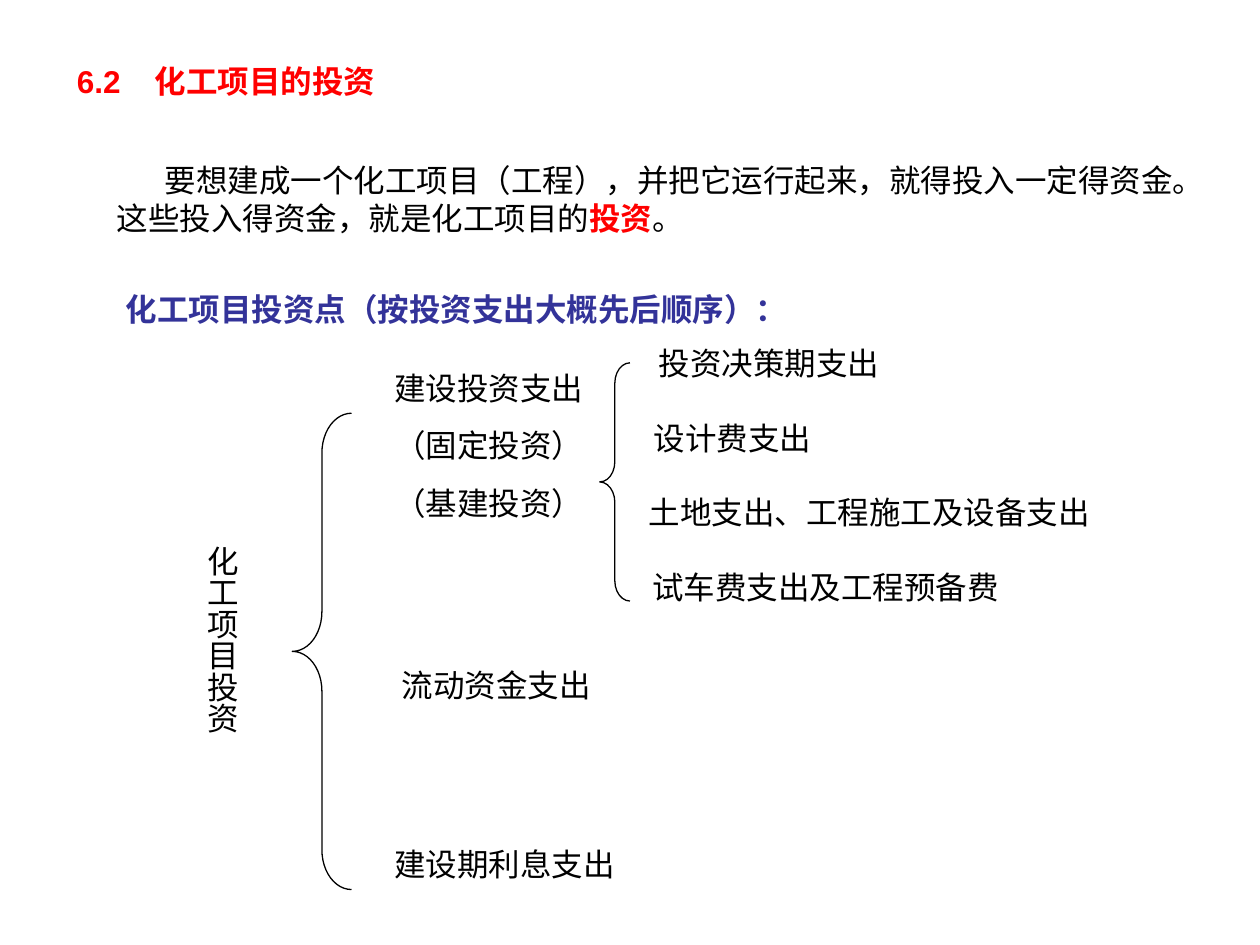
"""Build the slide on investment in chemical engineering projects."""
from dataclasses import dataclass

from lxml import etree
from pptx import Presentation
from pptx import util as u
from pptx.dml.color import RGBColor
from pptx.enum import shapes, text
from pptx.oxml.ns import qn

WIDTH, HEIGHT = u.Inches(10), u.Inches(7.5)
COLUMNS, ROWS = 100, 75


@dataclass(frozen=True)
class Theme:
    """Colours, type and line sizes of the slide."""

    font: str = "Arial"
    size: float = 18
    ink: str = "000000"
    accent: str = "FF0000"
    heading: str = "333399"
    line: float = 0.75
    space_before: float = 11.2


THEME = Theme()


def set_attributes(target, values):
    """Set every attribute named in a dict of format values."""
    for name, value in values.items():
        setattr(target, name, value)


def grid_box(column, row, columns, rows):
    """Turn grid columns and rows into left, top, width and height."""
    cell_width, cell_height = WIDTH / COLUMNS, HEIGHT / ROWS
    return (round(column * cell_width), round(row * cell_height),
            round(columns * cell_width), round(rows * cell_height))


def format_frame(frame, margins=(0.1, 0.05)):
    """Give a text frame its margins, anchor and wrapping."""
    side, end = (u.Inches(margin) for margin in margins)
    set_attributes(frame, {
        "margin_left": side, "margin_right": side,
        "margin_top": end, "margin_bottom": end,
        "word_wrap": True, "auto_size": text.MSO_AUTO_SIZE.NONE,
        "vertical_anchor": text.MSO_ANCHOR.TOP,
    })


def add_run(paragraph, words, color=THEME.ink, bold=False):
    """Append a formatted run to a paragraph."""
    run = paragraph.add_run()
    run.text = words
    set_attributes(run.font, {"name": THEME.font, "size": u.Pt(THEME.size), "bold": bold})
    run.font.color.rgb = RGBColor.from_string(color)


def add_label(slide, box, *lines, margins=(0.1, 0.05), **style):
    """Add a text box with one paragraph for each line."""
    frame = slide.shapes.add_textbox(*grid_box(*box)).text_frame
    format_frame(frame, margins)
    for index, line in enumerate(lines):
        paragraph = frame.add_paragraph() if index else frame.paragraphs[0]
        if index:
            paragraph.space_before = u.Pt(THEME.space_before)
        add_run(paragraph, line, **style)
    return frame


def add_title(slide, box, number, words, tab):
    """Place the title with its number set off by a tab stop."""
    title = slide.shapes.title
    set_attributes(title, dict(zip(("left", "top", "width", "height"), grid_box(*box))))
    format_frame(title.text_frame)
    paragraph = title.text_frame.paragraphs[0]
    paragraph.alignment = text.PP_ALIGN.LEFT
    properties = paragraph._p.get_or_add_pPr()
    tabs = etree.SubElement(properties, qn("a:tabLst"))
    etree.SubElement(tabs, qn("a:tab"), pos=str(u.Inches(tab)), algn="l")
    add_run(paragraph, f"{number}\t{words}", THEME.accent, True)


def add_introduction(slide, box, runs, indent):
    """Add the opening paragraph with a first-line indent."""
    paragraph = add_label(slide, box).paragraphs[0]
    paragraph._p.get_or_add_pPr().set("indent", str(u.Inches(indent)))
    for words, *style in runs:
        add_run(paragraph, words, *style)


def add_vertical_label(slide, box, words):
    """Add a label whose characters run from top to bottom."""
    frame = add_label(slide, box, words, margins=(0.05, 0.1))
    frame._txBody.bodyPr.set("vert", "eaVert")


def add_brace(slide, box):
    """Add an outlined left brace."""
    brace = slide.shapes.add_shape(shapes.MSO_SHAPE.LEFT_BRACE, *grid_box(*box))
    brace.adjustments[0] = 0.67
    brace.shadow.inherit = False
    brace.fill.background()
    brace.line.width = u.Pt(THEME.line)
    brace.line.color.rgb = RGBColor.from_string(THEME.ink)


def main():
    """Create the presentation and save it."""
    presentation = Presentation()
    set_attributes(presentation, {"slide_width": WIDTH, "slide_height": HEIGHT})
    slide = presentation.slides.add_slide(presentation.slide_layouts[5])

    add_title(slide, (5.1, 4.4, 47.2, 4), "6.2", "化工项目的投资", tab=0.62)
    add_introduction(slide, (8.3, 12.3, 87.4, 7), [
        ("要想建成一个化工项目（工程），并把它运行起来，就得投入一定得资金。"
         "这些投入得资金，就是化工项目的",),
        ("投资", THEME.accent, True),
        ("。",),
    ], indent=0.38)
    add_label(slide, (9, 22.5, 66.2, 4), "化工项目投资点（按投资支出大概先后顺序）：",
              color=THEME.heading, bold=True)

    add_vertical_label(slide, (14.6, 42.3, 5, 17.3), "化工项目投资")
    add_brace(slide, (23.2, 32.8, 4.7, 37.8))
    add_label(slide, (30.3, 28.8, 19.7, 13.2), "建设投资支出", "（固定投资）", "（基建投资）")
    add_label(slide, (30.9, 52.4, 22.8, 4), "流动资金支出")
    add_label(slide, (30.3, 66.6, 22.9, 4), "建设期利息支出")

    add_brace(slide, (47.6, 28.8, 2.4, 18.9))
    construction_costs = [
        (51.3, 22.8, "投资决策期支出"),
        (50.9, 22.9, "设计费支出"),
        (50.5, 45.2, "土地支出、工程施工及设备支出"),
        (50.8, 31.5, "试车费支出及工程预备费"),
    ]
    first_row, row_step = 26.8, 5.93
    for index, (column, columns, words) in enumerate(construction_costs):
        add_label(slide, (column, first_row + index * row_step, columns, 4), words)

    presentation.save("out.pptx")


if __name__ == "__main__":
    main()
